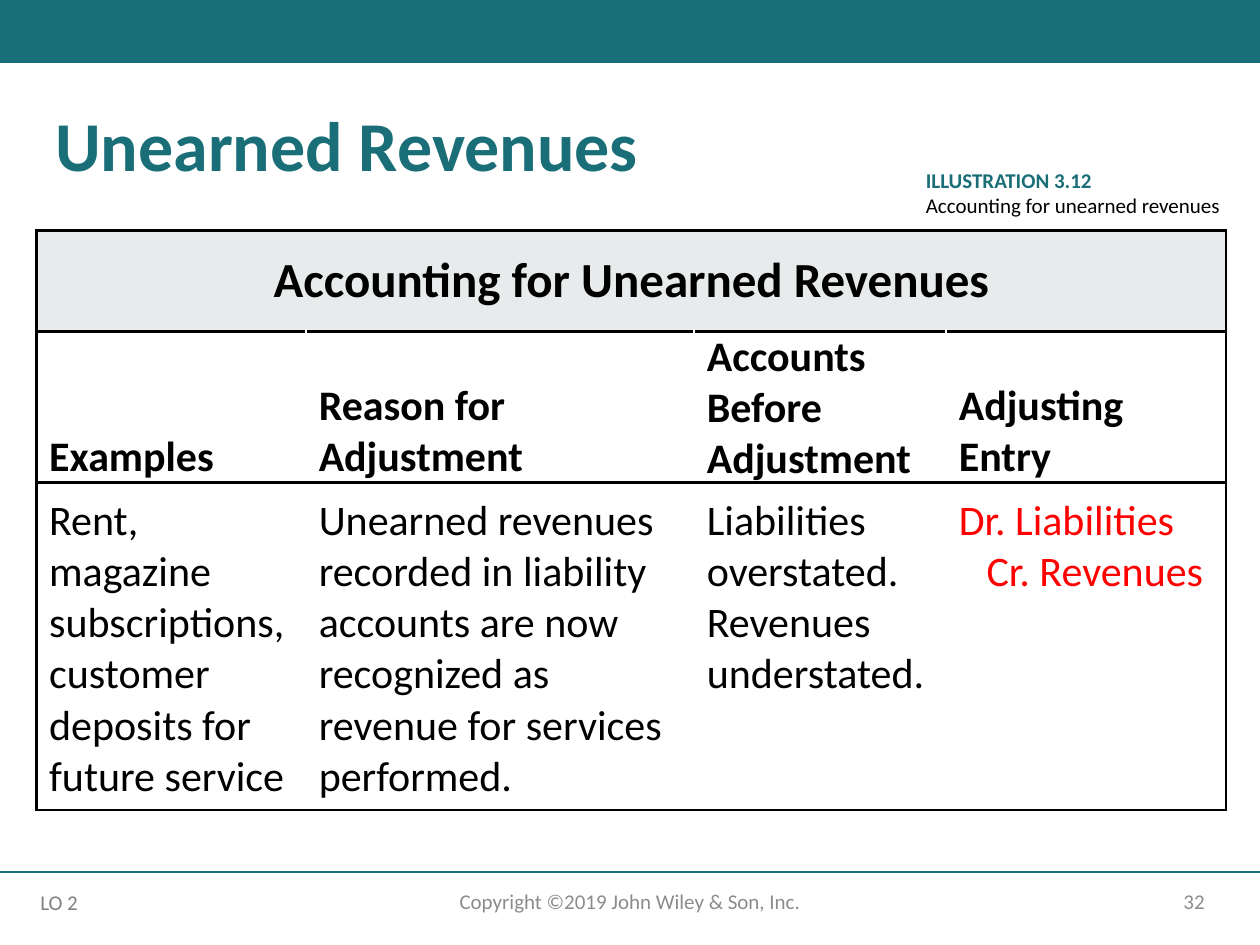
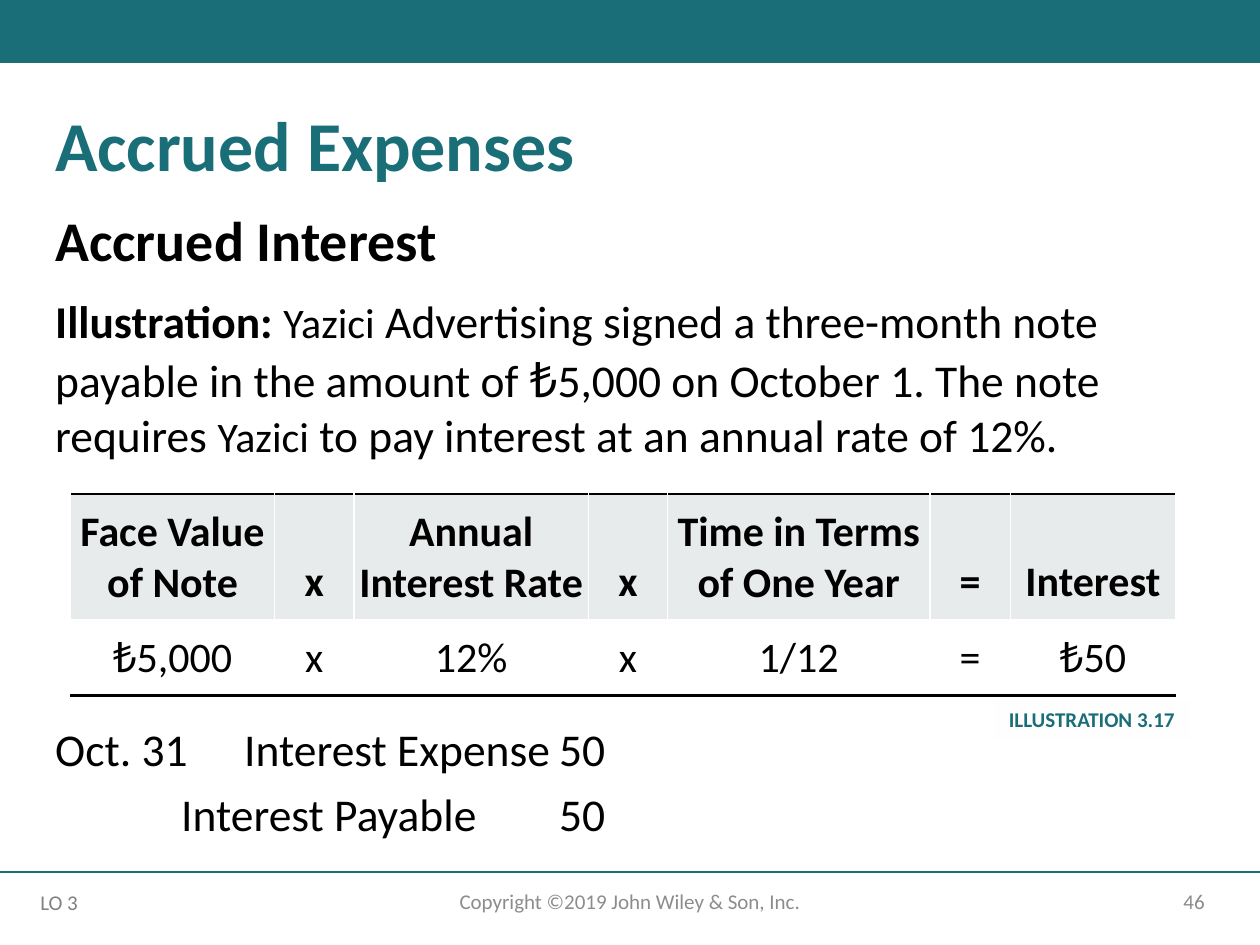
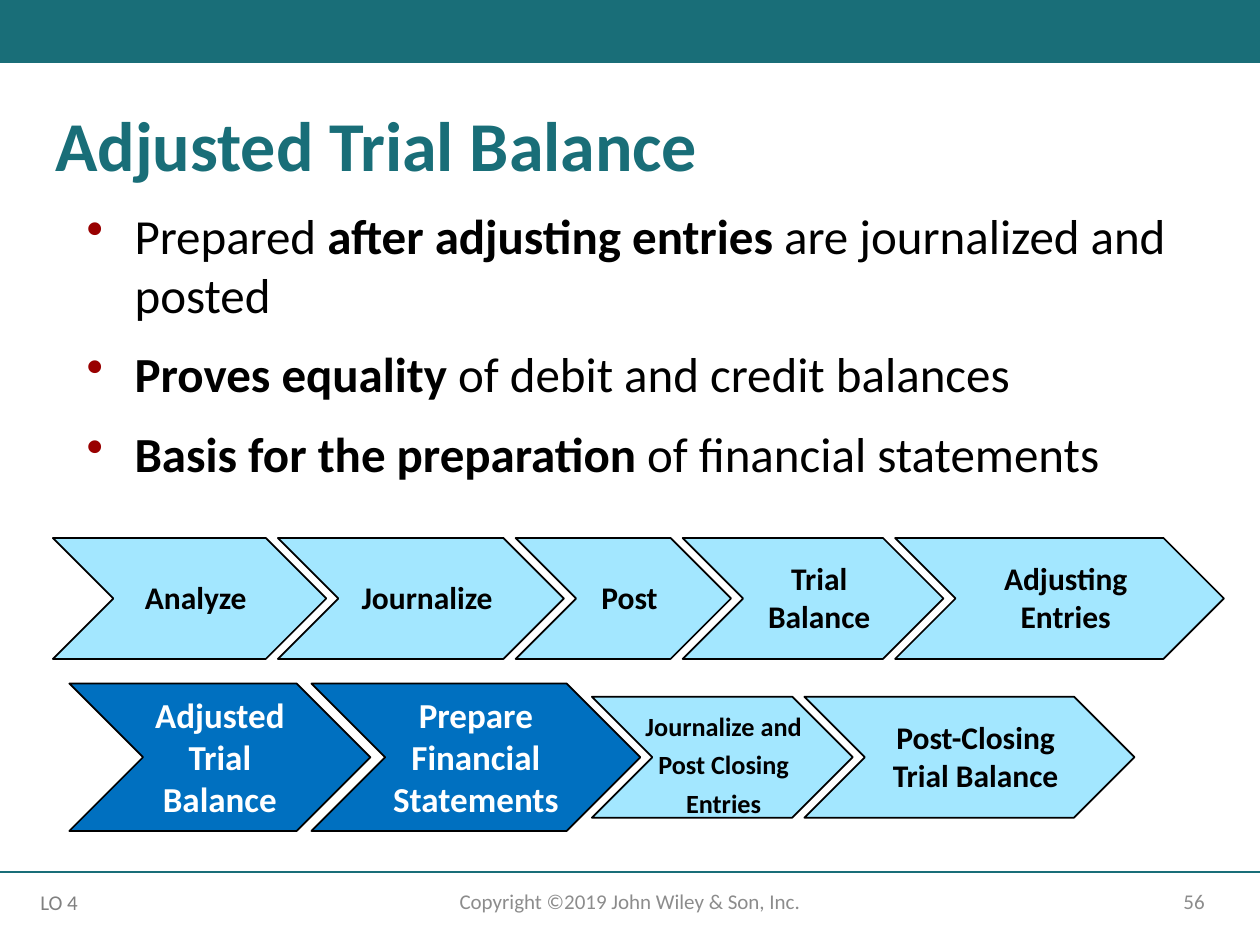
from collections import namedtuple

from lxml import etree
from pptx import Presentation
from pptx.dml.color import RGBColor
from pptx.enum.shapes import MSO_CONNECTOR, MSO_SHAPE
from pptx.enum.text import MSO_ANCHOR, PP_ALIGN
from pptx.oxml.ns import qn
from pptx.util import Inches, Pt

RECTANGLE, CHEVRON = MSO_SHAPE.RECTANGLE, MSO_SHAPE.CHEVRON
STRAIGHT = MSO_CONNECTOR.STRAIGHT
TOP, MIDDLE, BOTTOM = MSO_ANCHOR.TOP, MSO_ANCHOR.MIDDLE, MSO_ANCHOR.BOTTOM
LEFT, CENTER, RIGHT = PP_ALIGN.LEFT, PP_ALIGN.CENTER, PP_ALIGN.RIGHT

FONT = "Calibri"
TEAL, BLACK, WHITE, RED = "196E78", "000000", "FFFFFF", "FF0000"
FOOTER_GRAY, OBJECTIVE_GRAY, HEADER_GRAY = "8C8C8C", "808080", "E8EBEC"
BULLET_RED, PALE_BLUE, STRONG_BLUE, LABEL_WHITE = "990000", "A3E7FF", "0070C0", "FFFEFE"

# The slide is a grid of square cells; every length below counts cells.
COLUMNS, ROWS = 100, 75
CELL_INCHES = 0.1
Box = namedtuple("Box", "left top width height")

BAND = Box(0, 0, COLUMNS, 5)
TITLE = Box(3.4, 8.3, 94.9, 7.1)
FOOTER = Box(0, 69.2, COLUMNS, 5.8)
BODY_LEFT, BODY_TOP, BODY_WIDTH = 3.4, 15.8, 93.3
DEFAULT_INSETS = (1, 0.5, 1, 0.5)


def cells(count):
    return Inches(count * CELL_INCHES)


def place(box):
    return [cells(length) for length in box]


def rgb(hex_code):
    return RGBColor.from_string(hex_code)


def apply(target, formats):
    for name, value in formats.items():
        setattr(target, name, value)


def set_insets(target, insets):
    sides = ("margin_left", "margin_top", "margin_right", "margin_bottom")
    apply(target, dict(zip(sides, map(cells, insets))))


def write(frame, paragraphs, size, color=BLACK, bold=False, **layout):
    """Each paragraph is a string or a list of (text, font formats) runs."""
    for index, content in enumerate(paragraphs):
        paragraph = frame.paragraphs[0] if index == 0 else frame.add_paragraph()
        if index == 0:
            layout_here = {k: v for k, v in layout.items() if k != "space_before"}
        else:
            layout_here = layout
        apply(paragraph, layout_here)
        for text, formats in [(content, {})] if isinstance(content, str) else content:
            run = paragraph.add_run()
            run.text = text
            apply(run.font, {"name": FONT, "size": Pt(size), "bold": bold, **formats})
            run.font.color.rgb = rgb(color)


def add_text(slide, box, paragraphs, size, anchor=TOP, insets=DEFAULT_INSETS, **style):
    frame = slide.shapes.add_textbox(*place(box)).text_frame
    apply(frame, {"word_wrap": True, "vertical_anchor": anchor})
    set_insets(frame, insets)
    write(frame, paragraphs, size, **style)
    return frame


def add_figure(slide, preset, box, fill, outline=None):
    figure = slide.shapes.add_shape(preset, *place(box))
    figure.shadow.inherit = False
    figure.fill.solid()
    figure.fill.fore_color.rgb = rgb(fill)
    if outline:
        figure.line.color.rgb = rgb(outline)
        figure.line.width = Pt(1)
    else:
        figure.line.fill.background()
    return figure


def add_footer(slide, box, objective, number):
    left, top, width, height = box
    divider = slide.shapes.add_connector(
        STRAIGHT, *place((left, top, left + width, top)))
    divider.line.color.rgb = rgb(TEAL)
    divider.line.width = Pt(1)
    etree.SubElement(divider._element.spPr, qn("a:effectLst"))
    gray = {"size": 12, "anchor": MIDDLE, "color": FOOTER_GRAY}
    add_text(slide, Box(left + 70.6, top + 0.3, 26, 4), [number], alignment=RIGHT, **gray)
    add_text(slide, Box(left + 33.1, top + 0.3, 33.8, 4),
             ["Copyright ©2019 John Wiley & Son, Inc."], alignment=CENTER, **gray)
    add_text(slide, Box(left + 2.5, top + 0.9, 5.3, 3), [objective], 12,
             insets=(0.7, 0.5, 0, 0.5), color=OBJECTIVE_GRAY)


def start_slide(deck, title, objective, number):
    slide = deck.slides.add_slide(deck.slide_layouts[6])
    add_figure(slide, RECTANGLE, BAND, TEAL)
    add_footer(slide, FOOTER, objective, number)
    add_text(slide, TITLE, [title], 40, color=TEAL, bold=True, line_spacing=0.9)
    return slide


def add_grid(slide, box, widths, heights):
    frame = slide.shapes.add_table(len(heights), len(widths), *place(box))
    table = frame.table
    apply(table, {"first_row": False, "horz_banding": False})
    for column, width in zip(table.columns, widths):
        column.width = cells(width)
    for row, height in zip(table.rows, heights):
        row.height = cells(height)
    return table


def fill_cell(cell, paragraphs, size, fill=None, anchor=TOP, insets=(1, 1, 1, 1), **style):
    if fill:
        cell.fill.solid()
        cell.fill.fore_color.rgb = rgb(fill)
    else:
        cell.fill.background()
    cell.vertical_anchor = anchor
    set_insets(cell, insets)
    write(cell.text_frame, paragraphs, size, **style)


def rule_grid(table, rules, side):
    """Colour the horizontal rules from top to bottom and both outer sides."""
    last_column = len(table.columns)
    for row, (above, below) in enumerate(zip(rules, rules[1:])):
        for column in range(last_column):
            cell = table.cell(row, column)
            ends_row = column + cell.span_width == last_column
            edges = {"L": WHITE if column else side, "R": side if ends_row else WHITE,
                     "T": above, "B": below}
            properties = cell._tc.get_or_add_tcPr()
            for position, (edge, color) in enumerate(edges.items()):
                weight = Pt(1) if color == WHITE else Pt(1.5)
                line = etree.Element(qn("a:ln" + edge), w=str(int(weight)))
                solid = etree.SubElement(line, qn("a:solidFill"))
                etree.SubElement(solid, qn("a:srgbClr"), val=color)
                properties.insert(position, line)


def add_revenue_table(slide, box):
    table = add_grid(slide, box, (21.4, 30.8, 20, 22.2), (8, 12, 26))
    headings = (["Examples"], ["Reason for", "Adjustment"],
                ["Accounts", "Before", "Adjustment"], ["Adjusting", "Entry"])
    details = (
        ["Rent,", "magazine", "subscriptions,", "customer", "deposits for",
         "future service"],
        ["Unearned revenues", "recorded in liability", "accounts are now",
         "recognized as", "revenue for services", "performed."],
        ["Liabilities", "overstated.", "Revenues", "understated."],
        ["Dr. Liabilities", "Cr. Revenues"],
    )
    heading_style = {"insets": (1, 0, 1, 0), "bold": True}
    table.cell(0, 0).merge(table.cell(0, len(headings) - 1))
    fill_cell(table.cell(0, 0), ["Accounting for Unearned Revenues"], 28, HEADER_GRAY,
              MIDDLE, alignment=CENTER, **heading_style)
    for column, (heading, detail) in enumerate(zip(headings, details)):
        fill_cell(table.cell(1, column), heading, 24, anchor=BOTTOM, **heading_style)
        is_entry = column == len(headings) - 1
        fill_cell(table.cell(2, column), detail, 24, color=RED if is_entry else BLACK)
    credit = table.cell(2, len(headings) - 1).text_frame.paragraphs[1]
    credit._p.get_or_add_pPr().set("marL", str(cells(2.2)))
    rule_grid(table, [BLACK] * 4, BLACK)


def add_interest_table(slide, box):
    table = add_grid(slide, box, (16.2, 6.3, 18.6, 6.3, 20.8, 6.4, 13.1), (10, 6))
    terms = ((["Face Value", "of Note"], "₺5,000"), (["x"], "x"),
             (["Annual", "Interest Rate"], "12%"), (["x"], "x"),
             (["Time in Terms", "of One Year"], "1/12"), (["="], "="),
             (["Interest"], "₺50"))
    style = {"size": 24, "anchor": BOTTOM, "insets": (0, 1, 0, 1), "alignment": CENTER}
    for column, (heading, value) in enumerate(terms):
        fill_cell(table.cell(0, column), heading, fill=HEADER_GRAY, bold=True, **style)
        fill_cell(table.cell(1, column), [value], **style)
    rule_grid(table, [BLACK, WHITE, BLACK], WHITE)


def add_bullets(slide, box, paragraphs, size):
    frame = add_text(slide, box, paragraphs, size, space_before=Pt(12))
    for paragraph in frame.paragraphs:
        properties = paragraph._p.get_or_add_pPr()
        properties.set("marL", str(cells(6.3)))
        properties.set("indent", str(cells(-3.8)))
        color = etree.SubElement(properties, qn("a:buClr"))
        etree.SubElement(color, qn("a:srgbClr"), val=BULLET_RED)
        etree.SubElement(properties, qn("a:buChar"), char="•")


def add_step(slide, box, lines, current):
    step = add_figure(slide, CHEVRON, box, STRONG_BLUE if current else PALE_BLUE, BLACK)
    frame = step.text_frame
    apply(frame, {"word_wrap": True, "vertical_anchor": MIDDLE})
    set_insets(frame, (0 if current else 1, 0.3, 0, 0.5))
    write(frame, lines, 20 if current else 18, color=WHITE if current else BLACK,
          bold=True, alignment=CENTER)


def add_step_chain(slide, left, middle, steps):
    """Nest chevrons of (lines, width, current) and return their boxes."""
    boxes = []
    for lines, width, current in steps:
        height = 11.7 if current else 9.6
        if boxes:
            left = boxes[-1].left + boxes[-1].width - 0.4 * height
        boxes.append(Box(left, middle - height / 2, width, height))
        add_step(slide, boxes[-1], lines, current)
    return boxes


def build_unearned_revenues(deck):
    slide = start_slide(deck, "Unearned Revenues", "LO 2", "32")
    add_revenue_table(slide, Box(2.9, 18.3, 94.4, 46))
    caption = Box(72.5, 12.8, 26.5, 5)
    frame = add_text(slide, caption, [[("ILLUSTRATION 3.12", {"bold": True})],
                                      "Accounting for unearned revenues"], 12)
    frame.paragraphs[0].runs[0].font.color.rgb = rgb(TEAL)


def build_accrued_expenses(deck):
    slide = start_slide(deck, "Accrued Expenses", "LO 3", "46")
    company = ("Yazici", {"size": Pt(24)})
    add_text(slide, Box(BODY_LEFT, BODY_TOP, BODY_WIDTH, 22.5), [
        [("Accrued Interest", {"size": Pt(32), "bold": True})],
        [("Illustration: ", {"bold": True}), company,
         (" Advertising signed a three-month note payable in the amount of ", {}),
         ("₺", {"size": Pt(28)}),
         ("5,000 on October 1. The note requires ", {}), company,
         (" to pay interest at an annual rate of 12%.", {})],
    ], 26, space_before=Pt(12))
    add_interest_table(slide, Box(5.6, 39.2, 87.7, 16))
    add_text(slide, Box(BODY_LEFT, 56.7, BODY_WIDTH, 11.7),
             ["Oct. 31\tInterest Expense\t50", "\t\tInterest Payable\t\t50"], 26,
             space_before=Pt(6))
    label = add_figure(slide, RECTANGLE, Box(78.9, 55.6, 15.5, 3), LABEL_WHITE)
    write(label.text_frame, ["ILLUSTRATION 3.17"], 12, color=TEAL, bold=True,
          alignment=CENTER)


def build_adjusted_trial_balance(deck):
    slide = start_slide(deck, "Adjusted Trial Balance", "LO 4", "56")
    strong = {"bold": True}
    add_bullets(slide, Box(BODY_LEFT, BODY_TOP, BODY_WIDTH, 23.3), [
        [("Prepared ", {}), ("after adjusting entries ", strong),
         ("are journalized and posted", {})],
        [("Proves equality ", strong), ("of debit and credit balances", {})],
        [("Basis for the preparation ", strong), ("of financial statements", {})],
    ], 28)
    add_step_chain(slide, 4.2, 47.5, [
        (["Analyze"], 21.7, False), (["Journalize"], 22.7, False),
        (["Post"], 17.1, False), (["Trial Balance"], 20.7, False),
        (["Adjusting Entries"], 26.1, False)])
    closing = add_step_chain(slide, 5.5, 60.1, [
        (["Adjusted Trial Balance"], 23.9, True),
        (["Prepare", "Financial Statements"], 26.1, True),
        ([], 20.7, False), (["Post-Closing Trial Balance"], 26.2, False)])[2]
    add_text(slide, Box(closing.left + 1.2, closing.top, 18.5, closing.height),
             ["Journalize and Post Closing Entries"], 15, insets=(2.5, 0.5, 2.5, 0.5),
             bold=True, alignment=CENTER, line_spacing=Pt(22))


def main():
    deck = Presentation()
    deck.slide_width, deck.slide_height = cells(COLUMNS), cells(ROWS)
    build_unearned_revenues(deck)
    build_accrued_expenses(deck)
    build_adjusted_trial_balance(deck)
    deck.save("out.pptx")


if __name__ == "__main__":
    main()
